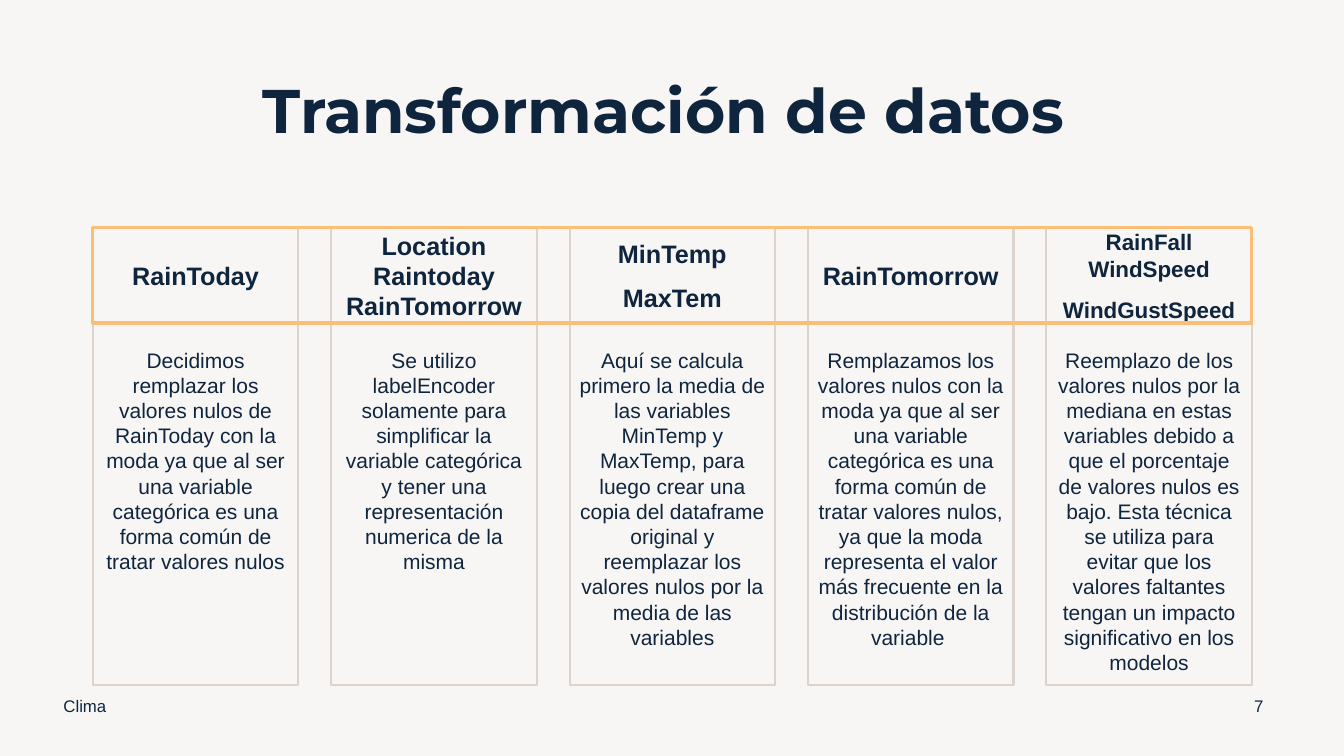
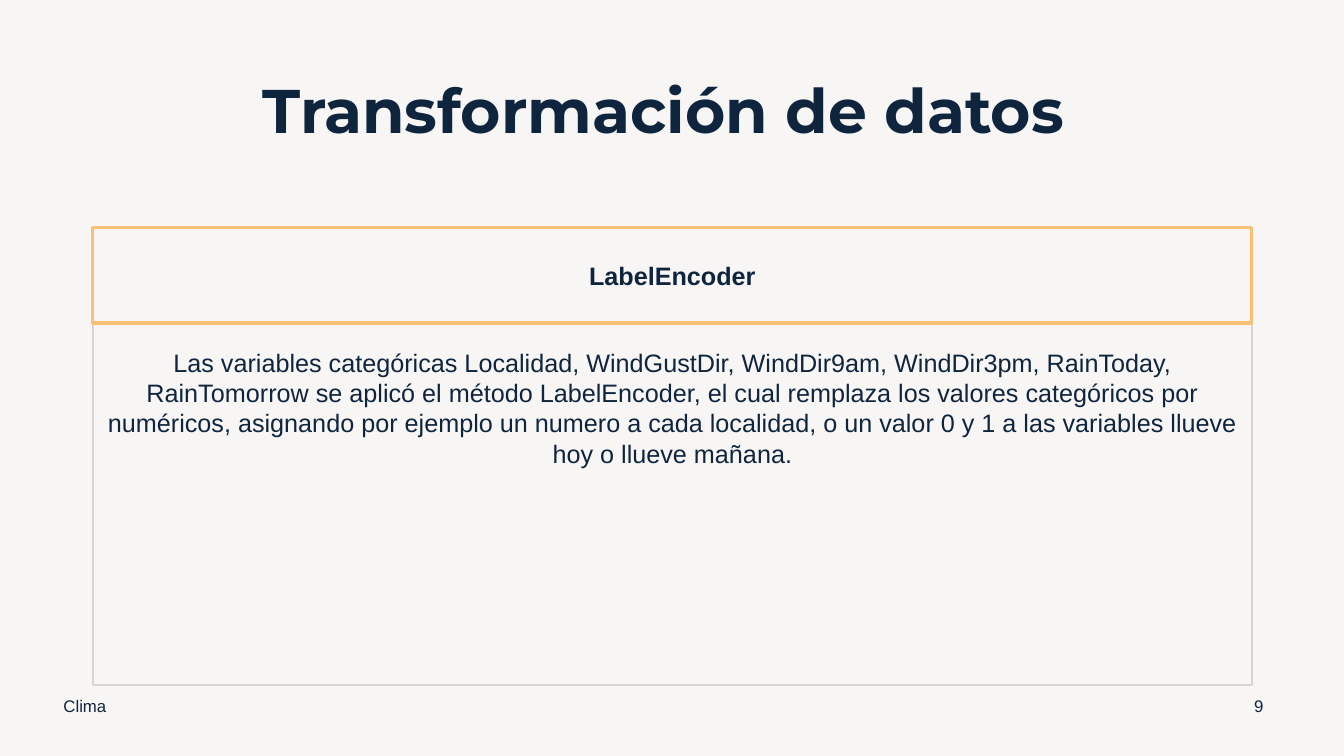
"""Build two slides on how the weather data was transformed."""
from dataclasses import dataclass

from pptx import Presentation, util as u
from pptx.dml import color
from pptx.enum import shapes, text


@dataclass(frozen=True)
class Theme:
    ink: color.RGBColor = color.RGBColor.from_string("0F253E")
    paper: color.RGBColor = color.RGBColor.from_string("F8F6F5")
    rule: color.RGBColor = color.RGBColor.from_string("DCD3CC")
    accent: color.RGBColor = color.RGBColor.from_string("FABE77")
    title_font: str = "Montserrat"
    body_font: str = "Arial"
    title_size: int = 44
    heading_size: int = 18
    small_heading_size: int = 16
    body_size: int = 15
    large_body_size: int = 18
    footer_size: int = 12
    rule_width: float = 1.5
    accent_width: float = 2.25


THEME = Theme()


@dataclass(frozen=True)
class Box:
    left: float
    top: float
    width: float
    height: float

    def lengths(self) -> list[u.Cm]:
        return [u.Cm(value) for value in (self.left, self.top, self.width, self.height)]


@dataclass(frozen=True)
class TextStyle:
    size: int
    font: str = THEME.body_font
    bold: bool = False
    align: text.PP_ALIGN = text.PP_ALIGN.CENTER
    anchor: text.MSO_ANCHOR = text.MSO_ANCHOR.MIDDLE
    line_spacing: float = 1.0
    top_inset: float = 0.13


@dataclass(frozen=True)
class Column:
    headings: tuple[str, ...]
    body: str
    heading_size: int = THEME.heading_size


@dataclass(frozen=True)
class Page:
    number: int
    columns: tuple[Column, ...]
    column_width: float
    body_size: int


TITLE = "Transformación de datos "
FOOTER = "Clima"
TITLE_BOX = Box(2.34, 1.02, 29.21, 3.68)
HEADER_BAND = Box(2.34, 5.74, 29.21, 2.4)
BODY_TOP = HEADER_BAND.top + HEADER_BAND.height
BODY_HEIGHT = 9.12
FOOTER_BOX = Box(1.35, 17.27, 11.43, 1.02)
NUMBER_BOX = Box(31.09, 17.27, 1.27, 1.02)

PAGES = (
    Page(7, (
        Column(("RainToday",),
               "Decidimos remplazar los valores nulos de RainToday con la moda ya que al ser "
               "una variable categórica es una forma común de tratar valores nulos"),
        Column(("Location Raintoday RainTomorrow",),
               "Se utilizo labelEncoder solamente para simplificar la variable categórica y "
               "tener una representación numerica de la misma"),
        Column(("MinTemp", "MaxTem"),
               "Aquí se calcula primero la media de las variables MinTemp y MaxTemp, para luego "
               "crear una copia del dataframe original y reemplazar los valores nulos por la "
               "media de las variables"),
        Column(("RainTomorrow",),
               "Remplazamos los valores nulos con la moda ya que al ser una variable categórica "
               "es una forma común de tratar valores nulos, ya que la moda representa el valor "
               "más frecuente en la distribución de la variable "),
        Column(("RainFall WindSpeed", "WindGustSpeed"),
               "Reemplazo de los valores nulos por la mediana en estas variables debido a que el "
               "porcentaje de valores nulos es bajo. Esta técnica se utiliza para evitar que los "
               "valores faltantes tengan un impacto significativo en los modelos",
               THEME.small_heading_size),
    ), 5.18, THEME.body_size),
    Page(9, (
        Column(("LabelEncoder",),
               "Las variables categóricas Localidad, WindGustDir, WindDir9am, WindDir3pm, "
               "RainToday, RainTomorrow se aplicó el método LabelEncoder, el cual remplaza los "
               "valores categóricos por numéricos, asignando por ejemplo un numero a cada "
               "localidad, o un valor 0 y 1 a las variables llueve hoy o llueve mañana."),
    ), HEADER_BAND.width, THEME.large_body_size),
)


def write(shape, lines: tuple[str, ...], style: TextStyle) -> None:
    frame = shape.text_frame
    frame.word_wrap = True
    frame.vertical_anchor = style.anchor
    frame.margin_left = frame.margin_right = u.Cm(0.25)
    frame.margin_top, frame.margin_bottom = u.Cm(style.top_inset), u.Cm(0.13)
    for index, line in enumerate(lines):
        paragraph = frame.add_paragraph() if index else frame.paragraphs[0]
        paragraph.text = line
        paragraph.alignment = style.align
        paragraph.line_spacing = style.line_spacing
        paragraph.space_before = u.Pt(10 if index else 0)
        paragraph.font.name = style.font
        paragraph.font.size = u.Pt(style.size)
        paragraph.font.bold = style.bold
        paragraph.font.color.rgb = THEME.ink


def add_label(slide, box: Box, label: str, style: TextStyle) -> None:
    write(slide.shapes.add_textbox(*box.lengths()), (label,), style)


def add_frame(slide, box: Box, line_color: color.RGBColor, line_width: float):
    shape = slide.shapes.add_shape(shapes.MSO_SHAPE.RECTANGLE, *box.lengths())
    shape.shadow.inherit = False
    shape.fill.background()
    shape.line.color.rgb = line_color
    shape.line.width = u.Pt(line_width)
    return shape


def add_column(slide, column: Column, left: float, page: Page) -> None:
    heading_style = TextStyle(column.heading_size, bold=True)
    body_style = TextStyle(page.body_size, anchor=text.MSO_ANCHOR.TOP, top_inset=0.61)
    for top, height, lines, style in (
        (HEADER_BAND.top, HEADER_BAND.height, column.headings, heading_style),
        (BODY_TOP, BODY_HEIGHT, (column.body,), body_style),
    ):
        box = Box(left, top, page.column_width, height)
        write(add_frame(slide, box, THEME.rule, THEME.rule_width), lines, style)


def add_page(presentation, page: Page) -> None:
    slide = presentation.slides.add_slide(presentation.slide_layouts[6])
    slide.background.fill.solid()
    slide.background.fill.fore_color.rgb = THEME.paper
    add_label(slide, TITLE_BOX, TITLE,
              TextStyle(THEME.title_size, THEME.title_font, bold=True, line_spacing=0.9))
    gaps = max(len(page.columns) - 1, 1)
    pitch = (HEADER_BAND.width - page.column_width) / gaps
    for index, column in enumerate(page.columns):
        add_column(slide, column, HEADER_BAND.left + index * pitch, page)
    add_frame(slide, HEADER_BAND, THEME.accent, THEME.accent_width)
    add_label(slide, FOOTER_BOX, FOOTER,
              TextStyle(THEME.footer_size, align=text.PP_ALIGN.LEFT))
    add_label(slide, NUMBER_BOX, str(page.number), TextStyle(THEME.footer_size))


def main() -> None:
    presentation = Presentation()
    presentation.slide_width, presentation.slide_height = u.Cm(33.87), u.Cm(19.05)
    for page in PAGES:
        add_page(presentation, page)
    presentation.save("out.pptx")


if __name__ == "__main__":
    main()
